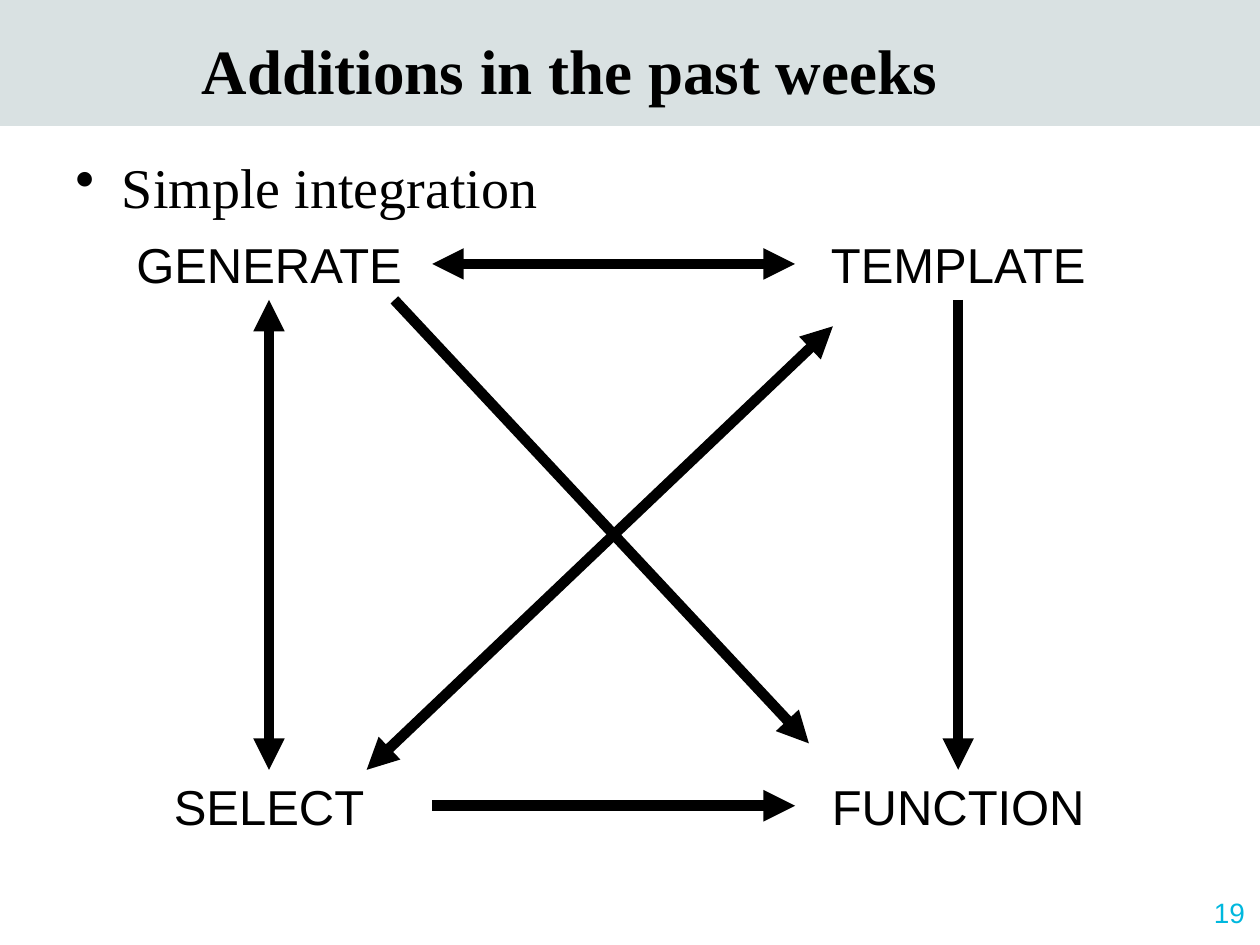
from lxml import etree
from pptx import Presentation
from pptx.dml.color import RGBColor
from pptx.enum.shapes import MSO_CONNECTOR as Link, MSO_SHAPE as Preset
from pptx.enum.text import MSO_ANCHOR as Anchor, PP_ALIGN as Align
from pptx.oxml.ns import qn
from pptx.util import Inches, Pt

SERIF = "Times New Roman"
LABEL_WIDTH, LABEL_HEIGHT = 2.59, 0.57
TOP, LEFT, BOTTOM, RIGHT = range(4)


def color(value):
    return RGBColor.from_string(value)


def add_text(page, text, left, top, width, height, size=28, font="Arial",
             ink="000000", bold=False, align=Align.CENTER, anchor=Anchor.TOP,
             inset=None):
    box = page.shapes.add_textbox(
        Inches(left), Inches(top), Inches(width), Inches(height))
    frame = box.text_frame
    frame.word_wrap = True
    frame.vertical_anchor = anchor
    if inset is not None:
        frame.margin_left = frame.margin_right = Inches(inset)
        frame.margin_top = frame.margin_bottom = Inches(inset)
    para = frame.paragraphs[0]
    para.alignment = align
    span = para.add_run()
    span.text = text
    span.font.size = Pt(size)
    span.font.name = font
    span.font.bold = bold
    span.font.color.rgb = color(ink)
    return box


def add_arrow(page, start, end, double=False):
    arrow = page.shapes.add_connector(
        Link.STRAIGHT, *(Inches(value) for value in start + end))
    arrow.line.color.rgb = color("000000")
    arrow.line.width = Pt(6)
    line = arrow.line._get_or_add_ln()
    for tag in ("a:headEnd", "a:tailEnd") if double else ("a:tailEnd",):
        etree.SubElement(line, qn(tag), type="triangle")
    etree.SubElement(arrow._element.spPr, qn("a:effectLst"))
    return arrow


def join_labels(page, first, first_side, second, second_side, double=False):
    arrow = add_arrow(page, (0, 0), (1, 1), double)
    arrow.begin_connect(first, first_side)
    arrow.end_connect(second, second_side)


def add_header(page, left, top, width, height):
    band = page.shapes.add_shape(
        Preset.RECTANGLE, Inches(left), Inches(top), Inches(width), Inches(height))
    band.shadow.inherit = False
    band.fill.solid()
    band.fill.fore_color.rgb = color("D9E1E2")
    band.line.fill.background()
    add_text(page, "Additions in the past weeks", left + 0.68, top + 0.25,
             7.68, 0.83, size=36, font=SERIF, bold=True, inset=0)


def add_bullet(page, left, top, width, height):
    box = add_text(page, "Simple integration", left, top, width, height,
                   size=32, font=SERIF, align=Align.LEFT)
    para = box.text_frame.paragraphs[0]
    para.space_before = Pt(6.4)
    props = para._p.get_or_add_pPr()
    props.set("marL", str(Inches(0.37)))
    props.set("indent", str(Inches(-0.37)))
    etree.SubElement(props, qn("a:buChar"), char="•")


def add_diagram(page, left, top, width, height):
    right = left + width - LABEL_WIDTH
    bottom = top + height - LABEL_HEIGHT
    corners = {"GENERATE": (left, top), "TEMPLATE": (right, top),
               "SELECT": (left, bottom), "FUNCTION": (right, bottom)}
    generate, template, select, function = (
        add_text(page, name, *corner, LABEL_WIDTH, LABEL_HEIGHT)
        for name, corner in corners.items())
    join_labels(page, generate, BOTTOM, select, TOP, double=True)
    join_labels(page, select, RIGHT, function, LEFT)
    join_labels(page, template, BOTTOM, function, TOP)
    join_labels(page, generate, RIGHT, template, LEFT, double=True)
    add_arrow(page, (left + 2.29, top + LABEL_HEIGHT),
              (right + 0.11, bottom - 0.21))
    add_arrow(page, (right + 0.3, top + LABEL_HEIGHT + 0.21),
              (left + 2.07, bottom), double=True)


def main():
    deck = Presentation()
    deck.slide_width, deck.slide_height = Inches(10), Inches(7.5)
    page = deck.slides.add_slide(deck.slide_layouts[6])
    add_header(page, 0, 0, 10, 1)
    add_text(page, "19", 9.17, 7.02, 0.71, 0.44, size=16, ink="00B8DE",
             align=Align.RIGHT, anchor=Anchor.MIDDLE, inset=0)
    add_diagram(page, 0.84, 1.81, 8.06, 4.87)
    add_bullet(page, 0.5, 1.16, 9, 6.34)
    deck.save("out.pptx")


if __name__ == "__main__":
    main()
